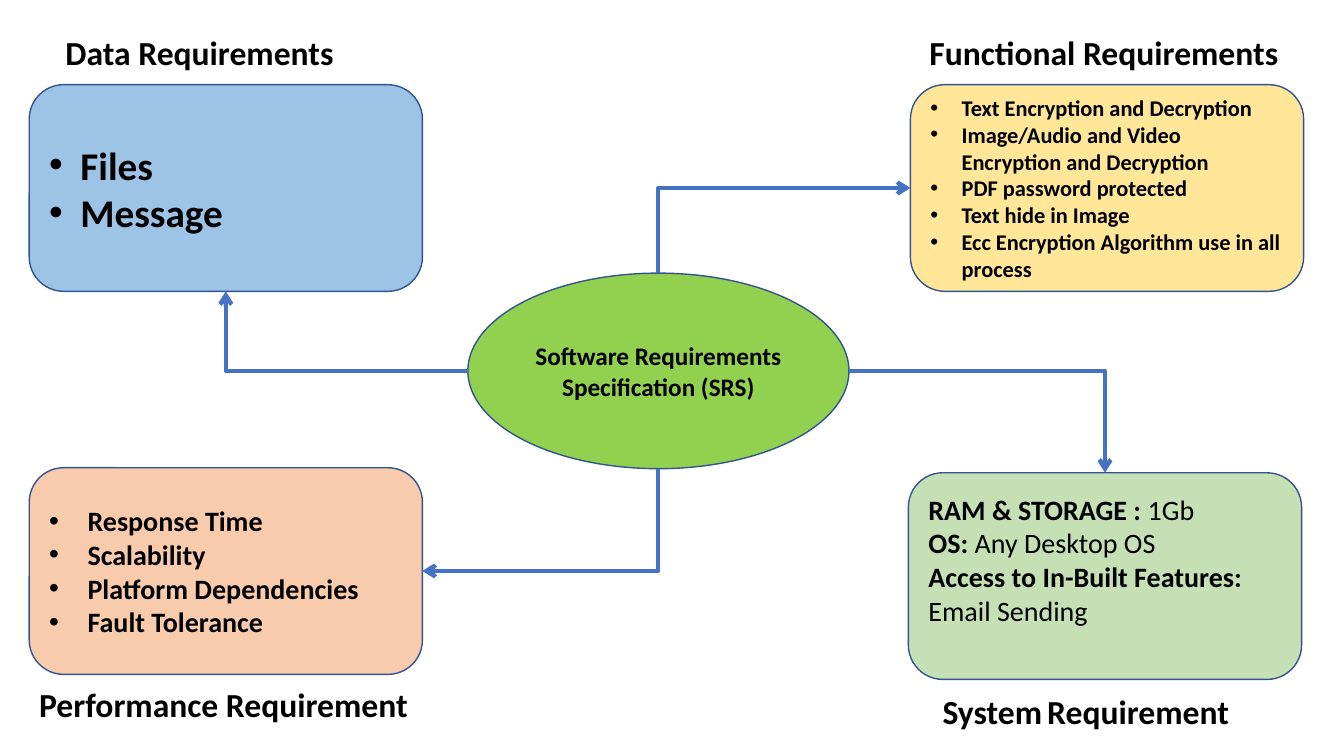
from dataclasses import dataclass
from typing import Optional

import lxml.etree
import pptx
import pptx.dml.color
import pptx.enum.shapes
import pptx.enum.text
import pptx.oxml.ns
import pptx.util

Inches = pptx.util.Inches
Align = pptx.enum.text.PP_ALIGN
Anchor = pptx.enum.text.MSO_ANCHOR
Shape = pptx.enum.shapes.MSO_SHAPE
qn = pptx.oxml.ns.qn

TOP, LEFT, BOTTOM, RIGHT = range(4)
BOX_WIDTH, BOX_HEIGHT = 3.9, 2.05


@dataclass(frozen=True)
class Theme:
    font: str = "Calibri"
    ink: str = "000000"
    gap_ink: str = "8C8C8C"
    outline: str = "325491"
    arrow: str = "4472C4"
    hub: str = "92D050"
    data: str = "9DC3E6"
    functional: str = "FFE699"
    performance: str = "F8CBAD"
    system: str = "C5E0B4"
    heading_size: int = 24
    gap_size: int = 16
    hub_size: int = 18
    data_size: int = 28
    functional_size: int = 16
    list_size: int = 20
    outline_width: int = 1
    arrow_width: int = 3


THEME = Theme()


@dataclass(frozen=True)
class Span:
    text: str
    size: int
    bold: bool = True
    color: str = THEME.ink


@dataclass(frozen=True)
class Box:
    left: float
    top: float
    fill: str
    lines: list[list[Span]]
    box_side: int
    hub_side: int
    bullet_indent: float = 0
    align: Optional[Align] = None
    bottom_inset: float = 0.05


@dataclass(frozen=True)
class Heading:
    left: float
    top: float
    width: float
    height: float
    spans: list[Span]
    wrap: bool = False


def bold_lines(size: int, *texts: str) -> list[list[Span]]:
    return [[Span(text, size)] for text in texts]


def labelled(label: str, value: str) -> list[Span]:
    return [Span(label, THEME.list_size), Span(value, THEME.list_size, bold=False)]


def heading_span(text: str) -> Span:
    return Span(text, THEME.heading_size)


BOXES = [
    Box(0.29, 0.84, THEME.data, bold_lines(THEME.data_size, "Files", "Message"),
        BOTTOM, LEFT, bullet_indent=0.31),
    Box(9.03, 0.84, THEME.functional,
        bold_lines(THEME.functional_size,
                   "Text Encryption and Decryption",
                   "Image/Audio and Video Encryption and Decryption",
                   "PDF password protected",
                   "Text hide in Image",
                   "Ecc Encryption Algorithm use in all process"),
        LEFT, TOP, bullet_indent=0.31),
    Box(0.29, 4.64, THEME.performance,
        bold_lines(THEME.list_size, "Response Time", "Scalability",
                   "Platform Dependencies", "Fault Tolerance"),
        RIGHT, BOTTOM, bullet_indent=0.38, align=Align.JUSTIFY),
    Box(9.01, 4.69, THEME.system,
        [labelled("RAM & STORAGE : ", "1Gb"),
         labelled("OS: ", "Any Desktop OS"),
         labelled("Access to In-Built Features: ", "Email Sending")],
        TOP, RIGHT, bottom_inset=0.38),
]

HEADINGS = [
    Heading(0.55, 0.27, 2.89, 0.5, [heading_span("Data Requirements")]),
    Heading(9.12, 0.27, 3.7, 0.5, [heading_span("Functional Requirements")]),
    Heading(0.29, 6.74, 3.89, 0.5, [heading_span("Performance Requirement")]),
    Heading(9.25, 6.85, 3.58, 0.4,
            [heading_span("System"),
             Span(" ", THEME.gap_size, color=THEME.gap_ink),
             heading_span("Requirement")], wrap=True),
]


def rgb(color: str) -> pptx.dml.color.RGBColor:
    return pptx.dml.color.RGBColor.from_string(color)


def write_spans(para, spans: list[Span]) -> None:
    for span in spans:
        run = para.add_run()
        run.text = span.text
        run.font.name = THEME.font
        run.font.size = pptx.util.Pt(span.size)
        run.font.bold = span.bold
        run.font.color.rgb = rgb(span.color)


def add_bullet(para, indent: float) -> None:
    properties = para._p.get_or_add_pPr()
    properties.set("marL", str(Inches(indent)))
    properties.set("indent", str(-Inches(indent)))
    font = lxml.etree.SubElement(properties, qn("a:buFont"))
    font.set("typeface", "Arial")
    lxml.etree.SubElement(properties, qn("a:buChar")).set("char", "•")


def add_panel(page, kind, left: float, top: float, width: float, height: float,
              fill: str):
    panel = page.shapes.add_shape(
        kind, Inches(left), Inches(top), Inches(width), Inches(height))
    panel.shadow.inherit = False
    panel.fill.solid()
    panel.fill.fore_color.rgb = rgb(fill)
    panel.line.color.rgb = rgb(THEME.outline)
    panel.line.width = pptx.util.Pt(THEME.outline_width)
    panel.text_frame.word_wrap = True
    panel.text_frame.vertical_anchor = Anchor.MIDDLE
    return panel


def add_hub(page):
    hub = add_panel(page, Shape.OVAL, 4.64, 2.71, 3.78, 1.94, THEME.hub)
    para = hub.text_frame.paragraphs[0]
    para.alignment = Align.CENTER
    write_spans(para, [Span("Software Requirements Specification (SRS)", THEME.hub_size)])
    return hub


def add_box(page, box: Box):
    panel = add_panel(page, Shape.ROUNDED_RECTANGLE, box.left, box.top,
                      BOX_WIDTH, BOX_HEIGHT, box.fill)
    frame = panel.text_frame
    frame.margin_bottom = Inches(box.bottom_inset)
    for index, spans in enumerate(box.lines):
        para = frame.add_paragraph() if index else frame.paragraphs[0]
        para.alignment = box.align or Align.LEFT
        if box.bullet_indent:
            add_bullet(para, box.bullet_indent)
        write_spans(para, spans)
    return panel


def add_arrow(page, hub, panel, box: Box) -> None:
    arrow = page.shapes.add_connector(
        pptx.enum.shapes.MSO_CONNECTOR.ELBOW, 0, 0, 0, 0)
    # A two-leg elbow runs sideways first, so it starts at the left or right side
    from_hub = box.hub_side in (LEFT, RIGHT)
    if from_hub:
        arrow.begin_connect(hub, box.hub_side)
        arrow.end_connect(panel, box.box_side)
    else:
        arrow.begin_connect(panel, box.box_side)
        arrow.end_connect(hub, box.hub_side)
    # An ellipse has eight connection sites, two per side
    hub_joint = arrow._element.find(".//" + qn("a:stCxn" if from_hub else "a:endCxn"))
    hub_joint.set("idx", str(box.hub_side * 2))

    arrow.line.color.rgb = rgb(THEME.arrow)
    arrow.line.width = pptx.util.Pt(THEME.arrow_width)
    properties = arrow._element.spPr
    properties.find(qn("a:prstGeom")).set("prst", "bentConnector2")
    tip = "a:tailEnd" if from_hub else "a:headEnd"
    lxml.etree.SubElement(properties.find(qn("a:ln")), qn(tip)).set("type", "arrow")
    lxml.etree.SubElement(properties, qn("a:effectLst"))


def add_heading(page, heading: Heading) -> None:
    label = page.shapes.add_textbox(Inches(heading.left), Inches(heading.top),
                                    Inches(heading.width), Inches(heading.height))
    frame = label.text_frame
    frame.word_wrap = heading.wrap
    if heading.wrap:
        frame.vertical_anchor = Anchor.MIDDLE
    else:
        frame.auto_size = pptx.enum.text.MSO_AUTO_SIZE.SHAPE_TO_FIT_TEXT
    write_spans(frame.paragraphs[0], heading.spans)


def main() -> None:
    deck = pptx.Presentation()
    deck.slide_width, deck.slide_height = Inches(13.33), Inches(7.5)
    page = deck.slides.add_slide(deck.slide_layouts[6])
    hub = add_hub(page)
    for box in BOXES:
        add_arrow(page, hub, add_box(page, box), box)
    for heading in HEADINGS:
        add_heading(page, heading)
    deck.save("out.pptx")


if __name__ == "__main__":
    main()
